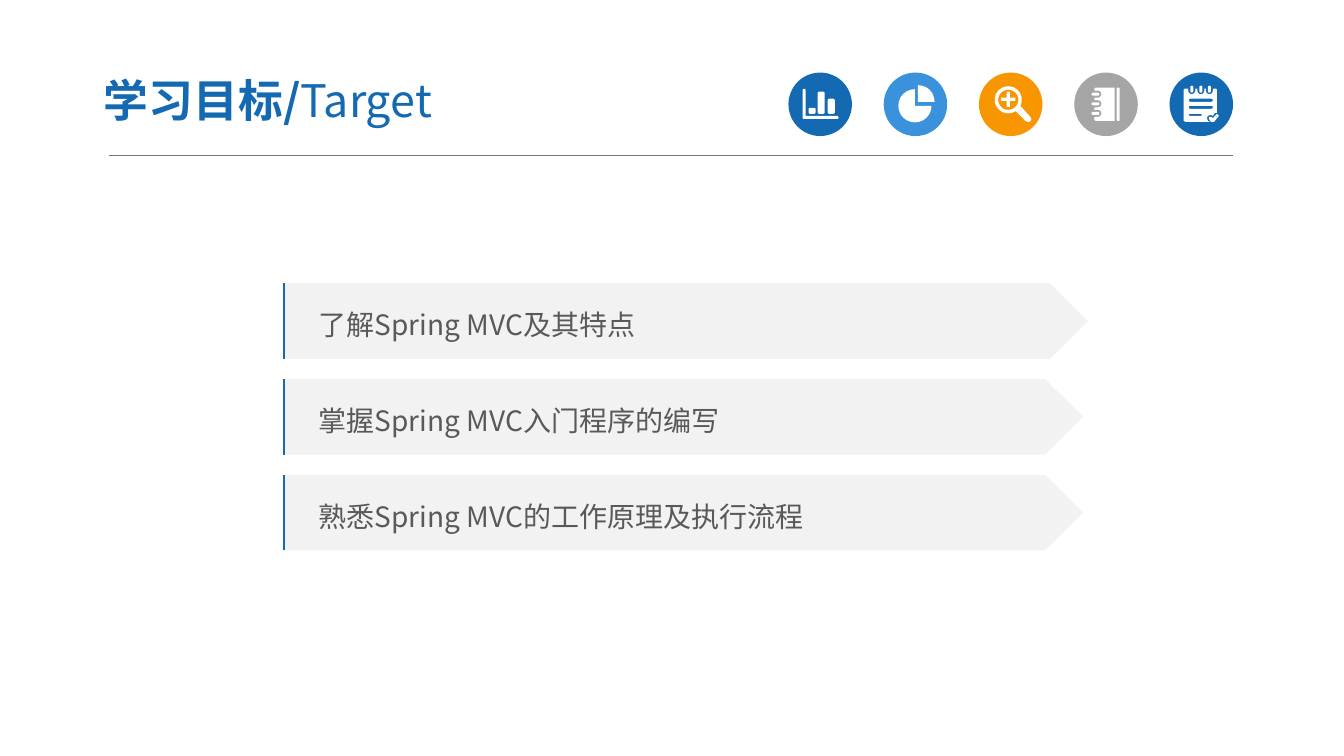
import math

import pptx
import pptx.dml.color
import pptx.enum.shapes
import pptx.enum.text
import pptx.oxml.ns
import pptx.util
import lxml.etree

Inches = pptx.util.Inches
SHAPE = pptx.enum.shapes.MSO_SHAPE

THEME = {
    "font": "Noto Sans CJK SC",
    "blue": "1369B2", "sky": "3992DB", "orange": "F79600", "grey": "A5A5A5",
    "white": "FFFFFF", "rule": "757575", "banner": "F2F2F2", "body": "595959",
    "title_size": 32, "body_size": 20,
}

TITLE = [("学习目标/", True), ("Target", False)]
# goal text, banner width
GOALS = [
    ("了解Spring MVC及其特点", 7.98),
    ("掌握Spring MVC入门程序的编写", 7.93),
    ("熟悉Spring MVC的工作原理及执行流程", 7.93),
]
BADGE_LEFT, BADGE_TOP, BADGE_SIZE, BADGE_STEP = 7.82, 0.72, 0.63, 0.945
BANNER_LEFT, BANNER_TOP, BANNER_HEIGHT, BANNER_STEP = 2.81, 2.81, 0.75, 0.95
UNITS = 1000  # outline units per inch


def arc(x, y, radius, start, end, steps):
    """Points on a circle, clockwise from start to end in degrees."""
    angles = [math.radians(start + (end - start) * i / steps) for i in range(steps + 1)]
    return [(x + radius * math.cos(a), y + radius * math.sin(a)) for a in angles]


def rounded(x, y, width, height, radius=0.015):
    right, bottom = x + width - radius, y + height - radius
    corners = [(right, bottom), (x + radius, bottom),
               (x + radius, y + radius), (right, y + radius)]
    return [point for turn, (cx, cy) in enumerate(corners)
            for point in arc(cx, cy, radius, 90 * turn, 90 * turn + 90, 2)]


# Icons: outlines in inches from the badge's top left; inner outlines are holes
BAR_CHART = [
    [(0.14, 0.17), (0.155, 0.16), (0.17, 0.17), (0.17, 0.43), (0.49, 0.43),
     (0.5, 0.45), (0.49, 0.46), (0.15, 0.46), (0.14, 0.45)],
    rounded(0.2, 0.35, 0.07, 0.06),
    rounded(0.29, 0.19, 0.07, 0.22),
    rounded(0.39, 0.26, 0.07, 0.15),
]
PIE_CHART = [
    [(0.34, 0.29)] + arc(0.34, 0.29, 0.165, 270, 360, 6),
    [(0.31, 0.33)] + arc(0.31, 0.33, 0.165, 0, 270, 18),
]
MAGNIFIER = [
    arc(0.29, 0.27, 0.135, 57, 387, 18)
    + [(0.5, 0.43), (0.52, 0.46), (0.51, 0.485), (0.48, 0.49), (0.46, 0.48)],
    arc(0.29, 0.27, 0.1, 0, 345, 23),
    [(0.275, 0.19), (0.305, 0.19), (0.305, 0.25), (0.36, 0.25), (0.36, 0.28),
     (0.305, 0.28), (0.305, 0.34), (0.275, 0.34), (0.275, 0.28), (0.22, 0.28),
     (0.22, 0.25), (0.275, 0.25)],
]
BINDER_RINGS = (0.215, 0.31, 0.405)
NOTEBOOK = [
    [(0.4, 0.48), (0.21, 0.48), (0.2, 0.47)]
    + [point for y in reversed(BINDER_RINGS)
       for point in [(0.2, y + 0.035), *arc(0.235, y, 0.035, 90, -90, 6), (0.2, y - 0.035)]]
    + [(0.2, 0.16), (0.21, 0.15), (0.4, 0.15)],
    rounded(0.42, 0.15, 0.03, 0.33, 0.01),
] + [rounded(0.17, y - 0.015, 0.08, 0.03) for y in BINDER_RINGS]
PAD_RINGS = (0.22, 0.31, 0.395)
NOTEPAD = [
    [(0.14, 0.17), (0.15, 0.16)]
    + [point for x in PAD_RINGS
       for point in [(x - 0.035, 0.16), *arc(x, 0.18, 0.035, 180, 0, 6), (x + 0.035, 0.16)]]
    + [(0.46, 0.16), (0.47, 0.17), (0.47, 0.4), (0.45, 0.4), (0.43, 0.43),
       (0.41, 0.42), (0.38, 0.43), (0.37, 0.45), (0.38, 0.48), (0.4, 0.49),
       (0.16, 0.49), (0.14, 0.48)],
    rounded(0.19, 0.26, 0.24, 0.03),
    rounded(0.19, 0.33, 0.24, 0.03),
    rounded(0.19, 0.41, 0.13, 0.02, 0.01),
    [(0.49, 0.43), (0.44, 0.49), (0.41, 0.49), (0.39, 0.46), (0.39, 0.44),
     (0.41, 0.44), (0.43, 0.45), (0.46, 0.42), (0.47, 0.41)],
] + [rounded(x - 0.015, 0.13, 0.03, 0.07) for x in PAD_RINGS]
BADGES = [("blue", BAR_CHART), ("sky", PIE_CHART), ("orange", MAGNIFIER),
          ("grey", NOTEBOOK), ("blue", NOTEPAD)]


def colour(name):
    return pptx.dml.color.RGBColor.from_string(THEME[name])


def assign(target, values):
    for name, value in values.items():
        setattr(target, name, value)


def paint(solid, fill):
    solid.shadow.inherit = False
    solid.fill.solid()
    solid.fill.fore_color.rgb = colour(fill)
    solid.line.fill.background()


def add_solid(shapes, preset, box, fill):
    solid = shapes.add_shape(preset, *map(Inches, box))
    paint(solid, fill)
    return solid


def add_outline(shapes, left, top, outlines, close=True):
    """Draw all outlines as one freeform, measured from left and top."""
    scaled = [[(round(x * UNITS), round(y * UNITS)) for x, y in outline]
              for outline in outlines]
    builder = shapes.build_freeform(*scaled[0][0], scale=Inches(1) / UNITS)
    for index, points in enumerate(scaled):
        if index:
            builder.move_to(*points[0])
        builder.add_line_segments(points[1:], close=close)
    return builder.convert_to_shape(Inches(left), Inches(top))


def add_rule(page):
    rule = page.shapes.add_connector(
        pptx.enum.shapes.MSO_CONNECTOR.STRAIGHT, *map(Inches, (1.08, 1.54, 12.23, 1.54)))
    rule.line.color.rgb = colour("rule")
    rule.line.width = pptx.util.Pt(0.5)
    lxml.etree.SubElement(rule._element.spPr, pptx.oxml.ns.qn("a:effectLst"))


def add_span(para, text, size, ink, bold=False):
    span = para.add_run()
    span.text = text
    assign(span.font, {"name": THEME["font"], "bold": bold,
                       "size": pptx.util.Pt(THEME[size])})
    span.font.color.rgb = colour(ink)
    east_asian = lxml.etree.SubElement(span.font._element, pptx.oxml.ns.qn("a:ea"))
    east_asian.set("typeface", THEME["font"])


def set_frame(box, left_inset, right_inset, edge_inset):
    """Centre the text vertically, set it to the left and return its paragraph."""
    assign(box.text_frame, {
        "word_wrap": True,
        "vertical_anchor": pptx.enum.text.MSO_ANCHOR.MIDDLE,
        "margin_left": Inches(left_inset), "margin_right": Inches(right_inset),
        "margin_top": Inches(edge_inset), "margin_bottom": Inches(edge_inset),
    })
    para = box.text_frame.paragraphs[0]
    para.alignment = pptx.enum.text.PP_ALIGN.LEFT
    return para


def add_badge(page, left, fill, icon):
    badge = page.shapes.add_group_shape().shapes
    add_solid(badge, SHAPE.OVAL, (left, BADGE_TOP, BADGE_SIZE, BADGE_SIZE), fill)
    paint(add_outline(badge, left, BADGE_TOP, icon), "white")


def add_banner(page, top, width, text):
    group = page.shapes.add_group_shape().shapes
    banner = add_solid(group, SHAPE.PENTAGON,
                       (BANNER_LEFT, top, width, BANNER_HEIGHT), "banner")
    para = set_frame(banner, 0.35, 0.1, 0.05)
    para.line_spacing = 1.2
    add_span(para, text, "body_size", "body")

    edge = add_outline(group, BANNER_LEFT + 0.01, top,
                       [[(0, BANNER_HEIGHT), (0, 0)]], close=False)
    edge.shadow.inherit = False
    edge.fill.background()
    edge.line.color.rgb = colour("blue")
    assign(edge.line, {"width": pptx.util.Pt(1.5)})
    edge.width = Inches(0.12)


def main():
    deck = pptx.Presentation()
    assign(deck, {"slide_width": Inches(13.33), "slide_height": Inches(7.5)})
    page = deck.slides.add_slide(deck.slide_layouts[6])

    add_rule(page)
    for index, (fill, icon) in enumerate(BADGES):
        add_badge(page, BADGE_LEFT + index * BADGE_STEP, fill, icon)

    title = page.shapes.add_textbox(*map(Inches, (0.9, 0.63, 5.22, 0.72)))
    para = set_frame(title, 0.13, 0.13, 0.07)
    for text, bold in TITLE:
        add_span(para, text, "title_size", "blue", bold)

    for index, (text, width) in enumerate(GOALS):
        add_banner(page, BANNER_TOP + index * BANNER_STEP, width, text)
    deck.save("out.pptx")


if __name__ == "__main__":
    main()
